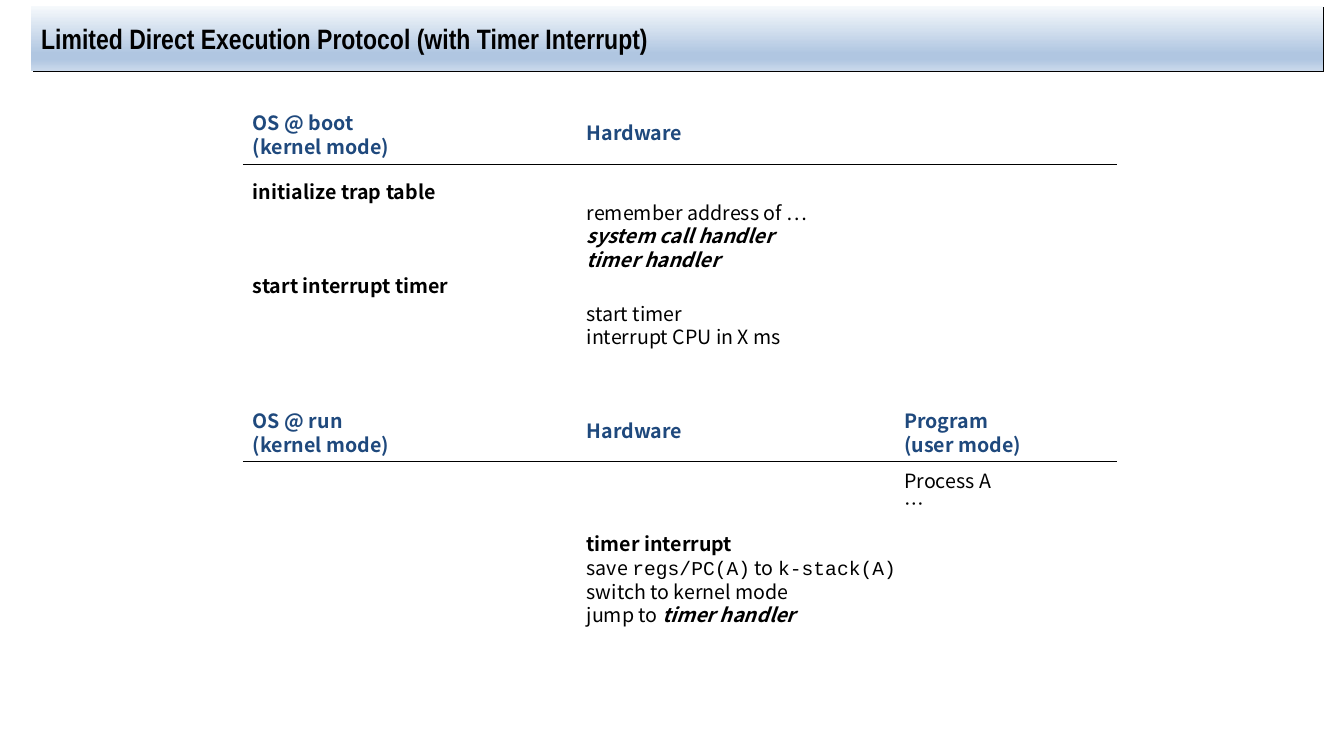
from dataclasses import dataclass

from lxml.etree import SubElement
from pptx import Presentation
from pptx.dml.color import RGBColor
from pptx.enum.shapes import MSO_CONNECTOR, MSO_SHAPE
from pptx.enum.text import MSO_ANCHOR, MSO_AUTO_SIZE, PP_ALIGN
from pptx.oxml import parse_xml
from pptx.oxml.ns import nsdecls, qn
from pptx.util import Inches, Pt


@dataclass(frozen=True)
class Theme:
    ink: str = "000000"
    heading: str = "1F497D"
    banner_stops: tuple = ((0, "F6F9FC"), (74, "B0C6E1"), (83, "B0C6E1"), (100, "CAD9EB"))
    title_font: str = "Arial Narrow"
    body_font: str = "Noto Sans CJK KR"
    code_font: str = "Courier New"
    title_size: float = 20
    body_size: float = 14
    line_pitch: float = 16.9
    rule_width: float = 1


class ProtocolSlide:
    def __init__(self, slide, theme):
        self.shapes = slide.shapes
        self.theme = theme

    def style_run(self, run, font, size, color, bold=False, italic=False):
        run.font.name = font
        run.font.size = Pt(size)
        run.font.color.rgb = RGBColor.from_string(color)
        run.font.bold = bold
        run.font.italic = italic
        for script in ("a:ea", "a:cs"):
            SubElement(run.font._element, qn(script)).set("typeface", font)

    def banner(self, title, left, top, width, height):
        bar = self.shapes.add_shape(MSO_SHAPE.RECTANGLE, Inches(left), Inches(top),
                                    Inches(width), Inches(height))
        bar.line.fill.background()
        # Gradient fill and hard corner shadow
        stops = "".join(f'<a:gs pos="{pos * 1000}"><a:srgbClr val="{color}"/></a:gs>'
                        for pos, color in self.theme.banner_stops)
        properties = bar._element.spPr
        properties.insert(2, parse_xml(
            f'<a:gradFill {nsdecls("a")} rotWithShape="1"><a:gsLst>{stops}</a:gsLst>'
            '<a:lin ang="5400000" scaled="0"/></a:gradFill>'))
        properties.append(parse_xml(
            f'<a:effectLst {nsdecls("a")}><a:outerShdw dist="{Pt(1.4)}" dir="2700000" '
            f'algn="tl" rotWithShape="0"><a:srgbClr val="{self.theme.ink}"/>'
            '</a:outerShdw></a:effectLst>'))
        frame = bar.text_frame
        frame.text = title
        frame.vertical_anchor = MSO_ANCHOR.MIDDLE
        frame.paragraphs[0].alignment = PP_ALIGN.LEFT
        self.style_run(frame.paragraphs[0].runs[0], self.theme.title_font,
                       self.theme.title_size, self.theme.ink, bold=True)

    def text(self, lines, left, top, width, color=None):
        """Each line is a list of (words, style); style holds b, i or c (code)."""
        theme = self.theme
        height = 0.1 + len(lines) * theme.line_pitch / 72
        box = self.shapes.add_textbox(Inches(left), Inches(top), Inches(width), Inches(height))
        frame = box.text_frame
        frame.word_wrap = True
        frame.auto_size = MSO_AUTO_SIZE.SHAPE_TO_FIT_TEXT
        for number, line in enumerate(lines):
            paragraph = frame.add_paragraph() if number else frame.paragraphs[0]
            paragraph.line_spacing = Pt(theme.line_pitch)
            for words, style in line:
                run = paragraph.add_run()
                run.text = words
                self.style_run(run, theme.code_font if "c" in style else theme.body_font,
                               theme.body_size, color or theme.ink, "b" in style, "i" in style)

    def heading(self, lines, left, top, width):
        self.text([[(line, "b")] for line in lines], left, top, width, self.theme.heading)

    def rule(self, left, right, y):
        line = self.shapes.add_connector(MSO_CONNECTOR.STRAIGHT, Inches(left), Inches(y),
                                         Inches(right), Inches(y))
        line.line.color.rgb = RGBColor.from_string(self.theme.ink)
        line.line.width = Pt(self.theme.rule_width)
        SubElement(line._element.spPr, qn("a:effectLst"))


def main():
    deck = Presentation()
    deck.slide_width, deck.slide_height = Inches(13.33), Inches(7.5)
    page = ProtocolSlide(deck.slides.add_slide(deck.slide_layouts[6]), Theme())
    os_x, hardware_x, program_x, right_x = 2.41, 5.72, 8.87, 11.08

    page.banner("Limited Direct Execution Protocol (with Timer Interrupt)",
                0.31, 0.06, 12.81, 0.64)

    # Column headings and rules of both phases
    for phase, top, rule_y in (("boot", 1.05, 1.63), ("run", 4.01, 4.58)):
        page.heading([f"OS @ {phase}", "(kernel mode)"], os_x, top, 1.89)
        page.heading(["Hardware"], hardware_x, top + 0.1, 1.65)
        page.rule(os_x, right_x, rule_y)
    page.heading(["Program", "(user mode)"], program_x, 4.01, 1.65)

    # Boot phase
    page.text([[("initialize trap table", "b")]], os_x, 1.73, 2.53)
    page.text([[("remember address of …", "")],
               [("system call handler", "bi")],
               [("timer handler", "bi")]], hardware_x, 1.94, 2.53)
    page.text([[("start interrupt timer", "b")]], os_x, 2.67, 2.53)
    page.text([[("start timer", "")], [("interrupt CPU in X ms", "")]], hardware_x, 2.94, 2.53)

    # Run phase
    page.text([[("Process A", "")], [("…", "")]], program_x, 4.6, 2.53)
    page.text([[("timer interrupt", "b")],
               [("save ", ""), ("regs/PC(A)", "c"), (" to ", ""), ("k-stack(A)", "c")],
               [("switch to kernel mode", "")],
               [("jump to ", ""), ("timer handler", "bi")]], hardware_x, 5.23, 3.31)

    deck.save("out.pptx")


if __name__ == "__main__":
    main()
